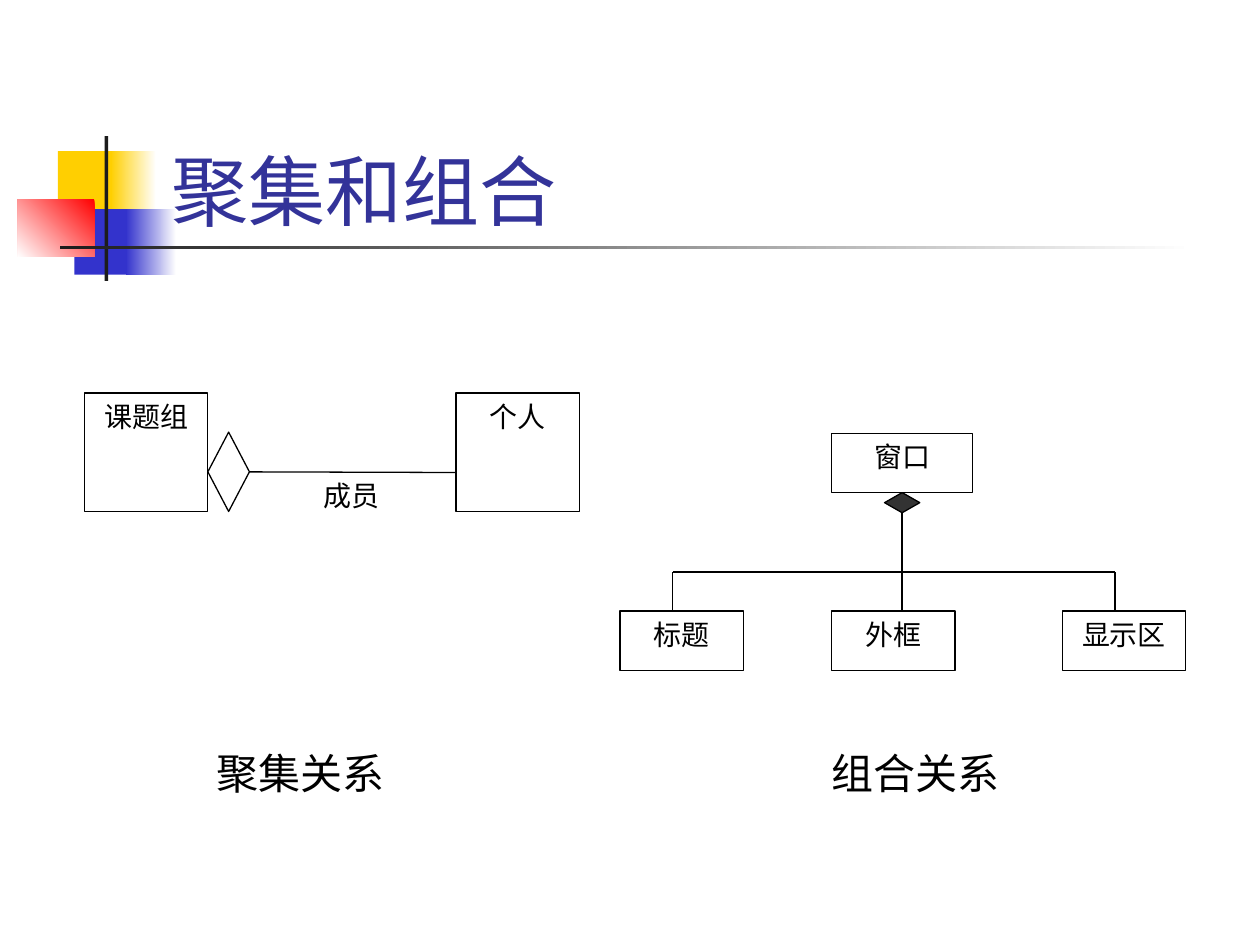
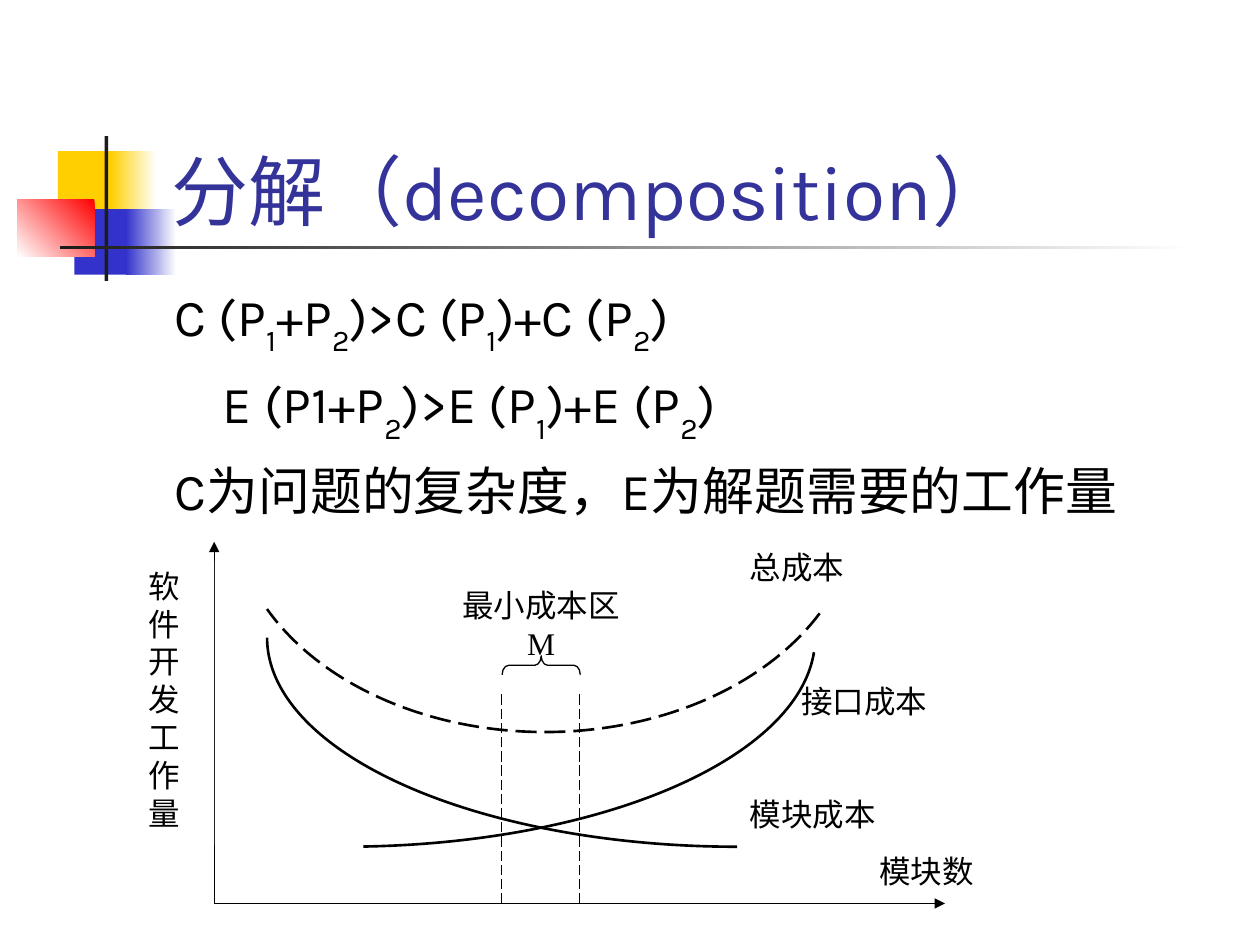
from dataclasses import dataclass

from lxml import etree
from pptx import Presentation
from pptx.dml.color import RGBColor
from pptx.enum.dml import MSO_LINE
from pptx.enum.shapes import MSO_CONNECTOR, MSO_SHAPE as Preset
from pptx.enum.text import MSO_ANCHOR as Anchor, PP_ALIGN as Align
from pptx.oxml.ns import qn
from pptx.util import Inches, Pt


@dataclass(frozen=True)
class Theme:
    white: str = "FFFFFF"
    black: str = "000000"
    title: str = "333399"
    yellow: str = "FFCF01"
    blue: str = "3333CC"
    red: str = "FF0000"
    bar: str = "1C1C1C"
    solid_diamond: str = "333333"
    sans: str = "Karla"
    serif: str = "Times New Roman"
    title_size: float = 44
    formula_size: float = 29.6
    caption_size: float = 24
    chart_size: float = 18
    diagram_size: float = 16
    thin: float = 0.75
    curve: float = 1.5


THEME = Theme()


@dataclass(frozen=True)
class Box:
    left: float
    top: float
    width: float
    height: float

    def inner(self, left, top, width, height):
        """Box placed relative to this one."""
        return Box(self.left + left, self.top + top, width, height)

    def point(self, x, y):
        return self.left + x, self.top + y

    def lengths(self):
        return [Inches(value) for value in (self.left, self.top, self.width, self.height)]


# Basic parts

def write_text(shape, paragraphs, size, font=THEME.serif, color=THEME.black,
               align=Align.LEFT, anchor=Anchor.TOP, wrap=True, space=0, indents=()):
    """Each paragraph is a string or a list of (text, font, baseline) runs."""
    frame = shape.text_frame
    frame.word_wrap = wrap
    frame.vertical_anchor = anchor
    for index, content in enumerate(paragraphs):
        paragraph = frame.add_paragraph() if index else frame.paragraphs[0]
        paragraph.alignment = align
        if index and space:
            paragraph.space_before = Pt(space)
        if indents:
            paragraph._p.get_or_add_pPr().set("marL", str(Inches(indents[index])))
        runs = [(content, font, 0)] if isinstance(content, str) else content
        for text, run_font, baseline in runs:
            run = paragraph.add_run()
            run.text = text
            run.font.size = Pt(size)
            run.font.name = run_font
            run.font.color.rgb = RGBColor.from_string(color)
            if baseline:
                run._r.get_or_add_rPr().set("baseline", str(baseline * 1000))


def add_text(slide, box, paragraphs, size, **text_format):
    write_text(slide.shapes.add_textbox(*box.lengths()), paragraphs, size, **text_format)


def style_line(line, weight, dash=None):
    line.color.rgb = RGBColor.from_string(THEME.black)
    line.width = Pt(weight)
    if dash:
        line.dash_style = dash


def add_preset(slide, preset, box, fill=None, weight=None, dash=None):
    shape = slide.shapes.add_shape(preset, *box.lengths())
    shape.shadow.inherit = False
    if fill:
        shape.fill.solid()
        shape.fill.fore_color.rgb = RGBColor.from_string(fill)
    else:
        shape.fill.background()
    if weight:
        style_line(shape.line, weight, dash)
    else:
        shape.line.fill.background()
    return shape


def add_gradient(slide, box, start, end, angle):
    shape = add_preset(slide, Preset.RECTANGLE, box, THEME.white)
    shape.fill.gradient()
    shape.fill.gradient_angle = angle
    for stop, color in zip(shape.fill.gradient_stops, (start, end)):
        stop.color.rgb = RGBColor.from_string(color)


def add_label(slide, box, paragraphs, size, align=Align.JUSTIFY, weight=None):
    shape = add_preset(slide, Preset.RECTANGLE, box, THEME.white, weight)
    write_text(shape, paragraphs, size, align=align)


def add_line(slide, start, end, dash=None, arrow=False):
    ends = [Inches(value) for value in (*start, *end)]
    connector = slide.shapes.add_connector(MSO_CONNECTOR.STRAIGHT, *ends)
    style_line(connector.line, THEME.thin, dash)
    if arrow:
        tail = etree.SubElement(connector.line._get_or_add_ln(), qn("a:tailEnd"))
        tail.set("type", "triangle")
    etree.SubElement(connector._element.spPr, qn("a:effectLst"))
    return connector


def add_arc(slide, box, start, end, dash=None):
    """Clockwise arc of the ellipse in the box, angles in degrees."""
    arc = add_preset(slide, Preset.ARC, box, weight=THEME.curve, dash=dash)
    for index, angle in enumerate((start, end)):
        arc.adjustments[index] = angle * 0.6


# Shared slide frame

def add_ornament(slide, box):
    tiles = [
        (THEME.yellow, (0.32, 0.12, 0.48, 0.52), (0.74, 0.12, 0.36, 0.52)),
        (THEME.blue, (0.45, 0.58, 0.46, 0.52), (0.86, 0.58, 0.4, 0.52)),
    ]
    for color, plain, fading in tiles:
        add_preset(slide, Preset.RECTANGLE, box.inner(*plain), color)
        add_gradient(slide, box.inner(*fading), THEME.white, color, 180)
    add_gradient(slide, box.inner(0, 0.5, 0.61, 0.46), THEME.red, THEME.white, 225)
    add_preset(slide, Preset.RECTANGLE, box.inner(0.69, 0, 0.03, 1.15), THEME.bar)
    add_gradient(slide, box.inner(0.34, 0.87, 9, 0.03), THEME.white, THEME.bar, 180)


def add_titled_slide(presentation, title):
    slide = presentation.slides.add_slide(presentation.slide_layouts[6])
    add_ornament(slide, Box(0.14, 1.08, 9.34, 1.15))
    add_text(slide, Box(1.26, 0.67, 8.52, 1.25), [title], THEME.title_size,
             font=THEME.sans, color=THEME.title, anchor=Anchor.BOTTOM)
    return slide


# Slide 1: aggregation and composition

def add_class_box(slide, box, name):
    add_label(slide, box, [name], THEME.diagram_size, Align.CENTER, THEME.thin)


def add_caption(slide, box, text):
    add_text(slide, box, [text], THEME.caption_size, font=THEME.sans, wrap=False)


def add_aggregation(slide, box):
    add_label(slide, box.inner(1.8, 0.63, 0.82, 0.94), ["成员"], THEME.diagram_size)
    for left, name in ((0, "课题组"), (2.95, "个人")):
        add_class_box(slide, box.inner(left, 0, 0.98, 0.94), name)
    diamond = add_preset(slide, Preset.DIAMOND, box.inner(0.98, 0.31, 0.33, 0.63),
                         THEME.white, THEME.thin)
    link = add_line(slide, box.point(1.31, 0.63), box.point(2.95, 0.63))
    link.begin_connect(diamond, 3)
    add_caption(slide, box.inner(0.95, 2.76, 1.53, 0.5), "聚集关系")


def add_composition(slide, box):
    add_class_box(slide, box.inner(1.68, 0, 1.12, 0.47), "窗口")
    for left, name in ((0, "标题"), (1.68, "外框"), (3.51, "显示区")):
        add_class_box(slide, box.inner(left, 1.41, 0.98, 0.47), name)
    diamond = add_preset(slide, Preset.DIAMOND, box.inner(2.1, 0.47, 0.28, 0.16),
                         THEME.solid_diamond, THEME.thin)
    stem = add_line(slide, box.point(2.24, 0.63), box.point(2.24, 1.41))
    stem.begin_connect(diamond, 2)
    for x in (0.42, 3.93):
        add_line(slide, box.point(x, 1.41), box.point(x, 1.1))
    add_line(slide, box.point(0.42, 1.1), box.point(3.93, 1.1))
    add_caption(slide, box.inner(1.58, 2.44, 1.53, 0.5), "组合关系")


# Slide 2: decomposition

def formula(text):
    """Turn 'P_1' into a run with a subscript digit."""
    first, *rest = text.split("_")
    runs = [(first, THEME.sans, 0)]
    for piece in rest:
        runs += [(piece[0], THEME.sans, -30), (piece[1:], THEME.sans, 0)]
    return runs


def add_formulas(slide, box):
    meaning = [("C", THEME.sans, 0), ("为问题的复杂度，", THEME.serif, 0),
               ("E", THEME.sans, 0), ("为解题需要的工作量", THEME.serif, 0)]
    paragraphs = [formula("C (P_1+P_2)>C (P_1)+C (P_2)"),
                  formula("E (P1+P_2)>E (P_1)+E (P_2)"), meaning]
    add_text(slide, box, paragraphs, THEME.formula_size, space=8, indents=(0, 0.38, 0))


def add_cost_diagram(slide, box):
    def label(left, top, width, height, *lines, align=Align.JUSTIFY):
        add_label(slide, box.inner(left, top, width, height), lines,
                  THEME.chart_size, align)

    label(5.8, 2.41, 1.45, 0.45, "模块数")
    label(5.18, 1.06, 1.45, 0.45, "接口成本")
    label(1.87, 0.3, 2.69, 0.75, "最小成本区", "M", align=Align.CENTER)

    # Axes and the bounds of the minimum cost zone
    origin = box.point(0.62, 2.87)
    for tip in ((0.62, 0), (6.42, 2.87)):
        add_line(slide, origin, box.point(*tip), arrow=True)
    for x in (2.9, 3.52):
        add_line(slide, box.point(x, 2.87), box.point(x, 1.21), MSO_LINE.LONG_DASH)
    brace = add_preset(slide, Preset.LEFT_BRACE, box.inner(3.14, 0.67, 0.15, 0.62),
                       weight=THEME.thin)
    brace.rotation = 90
    brace.adjustments[0] = 0.34

    # Total, module and interface cost curves
    add_arc(slide, box.inner(0.76, -2.11, 4.97, 3.62), 21.7, 159.3, MSO_LINE.LONG_DASH)
    add_arc(slide, box.inner(1.04, -0.9, 7.46, 3.32), 90, 180)
    add_arc(slide, box.inner(-2.07, -0.9, 7.46, 3.32), 1.8, 85)

    label(0, 0.15, 0.62, 2.26, "软件开发工", "作", "量")
    label(4.77, 0, 1.45, 0.45, "总成本")
    label(4.77, 1.96, 1.45, 0.45, "模块成本")


def main():
    presentation = Presentation()
    presentation.slide_width = Inches(10)
    presentation.slide_height = Inches(7.5)

    relations = add_titled_slide(presentation, "聚集和组合")
    add_aggregation(relations, Box(0.67, 3.12, 3.93, 3.26))
    add_composition(relations, Box(4.92, 3.44, 4.49, 2.94))

    decomposition = add_titled_slide(presentation, "分解（decomposition）")
    add_formulas(decomposition, Box(1.29, 2.21, 8.5, 1.96))
    add_cost_diagram(decomposition, Box(1.08, 4.3, 7.25, 2.87))

    presentation.save("out.pptx")


if __name__ == "__main__":
    main()
